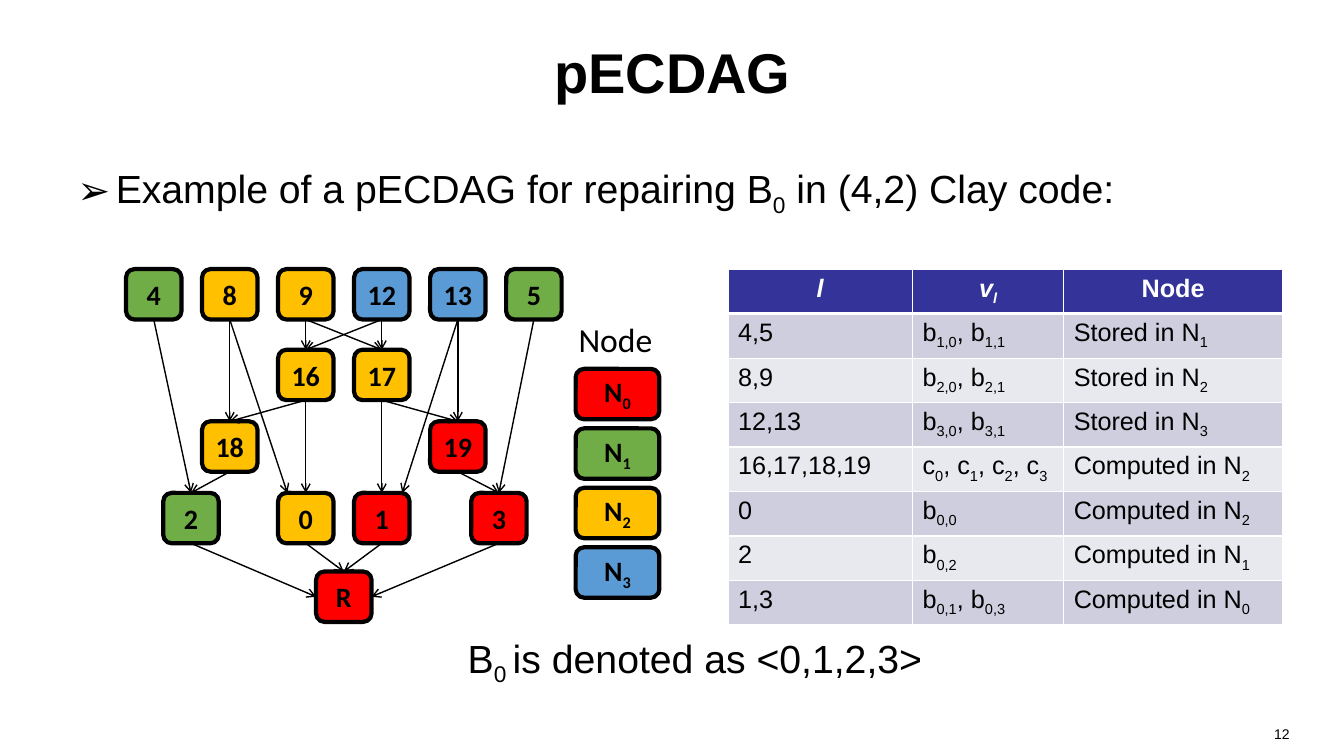
from lxml import etree
from pptx import Presentation
from pptx.dml.color import RGBColor
from pptx.enum.shapes import MSO_CONNECTOR, MSO_SHAPE
from pptx.enum.text import MSO_ANCHOR, PP_ALIGN
from pptx.oxml import parse_xml
from pptx.oxml.ns import nsdecls, qn
from pptx.util import Inches, Pt

BLACK = RGBColor(0x00, 0x00, 0x00)
WHITE = RGBColor(0xFF, 0xFF, 0xFF)
RED = RGBColor(0xFF, 0x00, 0x00)
GREEN = RGBColor(0x70, 0xAD, 0x47)
AMBER = RGBColor(0xFF, 0xC0, 0x00)
BLUE = RGBColor(0x5B, 0x9B, 0xD5)
NAVY = RGBColor(0x33, 0x33, 0x99)
BAND_DARK = RGBColor(0xCE, 0xCE, 0xDE)
BAND_LIGHT = RGBColor(0xE8, 0xE8, 0xEF)
LEFT, CENTER, RIGHT = PP_ALIGN.LEFT, PP_ALIGN.CENTER, PP_ALIGN.RIGHT


def write_text(para, markup, size, font="Arial", color=BLACK, bold=False,
               italic=False, align=LEFT):
    """Fill a paragraph; every second part between bars is a subscript."""
    para.alignment = align
    for index, part in enumerate(markup.split("|")):
        if not part:
            continue
        span = para.add_run()
        span.text = part
        span.font.size = Pt(size)
        span.font.name = font
        span.font.color.rgb = color
        span.font.bold = bold
        span.font.italic = italic
        if index % 2:
            span.font._element.set("baseline", "-25000")


def add_node(left, top, width, fill, label):
    node = page.shapes.add_shape(MSO_SHAPE.ROUNDED_RECTANGLE, Inches(left),
                                 Inches(top), Inches(width), Inches(0.5))
    node.shadow.inherit = False
    node.fill.solid()
    node.fill.fore_color.rgb = fill
    node.line.color.rgb = BLACK
    node.line.width = Pt(3)
    node.text_frame.vertical_anchor = MSO_ANCHOR.MIDDLE
    write_text(node.text_frame.paragraphs[0], label, 20, "Calibri",
               bold=True, align=CENTER)
    return node


deck = Presentation()
deck.slide_width, deck.slide_height = Inches(13.33), Inches(7.5)
page = deck.slides.add_slide(deck.slide_layouts[6])

# Texts: left, top, width, height, markup, size, font, bold, alignment
texts = [
    (0.67, 0.08, 12, 1.25, "pECDAG", 40, "Arial", True, CENTER),
    (0.67, 1.58, 12, 0.92,
     "Example of a pECDAG for repairing B|0| in (4,2) Clay code:",
     28, "Arial", False, LEFT),
    (9.78, 7.15, 3.11, 0.35, "12", 10, "Arial", False, RIGHT),
    (5.64, 3.11, 0.94, 0.5, "Node", 24, "Calibri", False, LEFT),
    (4.54, 6.24, 5.02, 0.57, "B|0 |is denoted as <0,1,2,3>",
     28, "Arial", False, LEFT),
]
boxes = []
for left, top, width, height, markup, size, font, bold, align in texts:
    box = page.shapes.add_textbox(Inches(left), Inches(top),
                                  Inches(width), Inches(height))
    box.text_frame.word_wrap = True
    write_text(box.text_frame.paragraphs[0], markup, size, font,
               bold=bold, align=align)
    boxes.append(box)
title, example = boxes[:2]
title.text_frame.vertical_anchor = MSO_ANCHOR.MIDDLE
bullet_props = example.text_frame.paragraphs[0]._p.get_or_add_pPr()
bullet_props.set("marL", str(Inches(0.38)))
bullet_props.set("indent", str(-Inches(0.38)))
etree.SubElement(bullet_props, qn("a:buFont")).set("typeface", "Arial")
etree.SubElement(bullet_props, qn("a:buChar")).set("char", "➢")

# Table of vertices
rows = [
    ("l", "v|l", "Node"),
    ("4,5", "b|1,0|, b|1,1", "Stored in N|1"),
    ("8,9", "b|2,0|, b|2,1", "Stored in N|2"),
    ("12,13", "b|3,0|, b|3,1", "Stored in N|3"),
    ("16,17,18,19", "c|0|, c|1|, c|2|, c|3", "Computed in N|2"),
    ("0", "b|0,0", "Computed in N|2"),
    ("2", "b|0,2", "Computed in N|1"),
    ("1,3", "b|0,1|, b|0,3", "Computed in N|0"),
]
table = page.shapes.add_table(len(rows), 3, Inches(7.22), Inches(2.67),
                              Inches(5.5), Inches(3.24)).table
table.horz_banding = False
for column, width in zip(table.columns, (1.83, 1.5, 2.17)):
    column.width = Inches(width)
for r, row in enumerate(rows):
    header = r == 0
    for c, markup in enumerate(row):
        cell = table.cell(r, c)
        write_text(cell.text_frame.paragraphs[0], markup, 18,
                   color=WHITE if header else BLACK, bold=header,
                   italic=header and c < 2, align=CENTER if header else LEFT)
        for side in ("lnL", "lnR", "lnT", "lnB"):
            thick = (r, side) in ((0, "lnB"), (1, "lnT"))
            cell._tc.get_or_add_tcPr().append(parse_xml(
                f'<a:{side} {nsdecls("a")} w="{Pt(3 if thick else 1)}">'
                f'<a:solidFill><a:srgbClr val="{WHITE}"/></a:solidFill>'
                f'</a:{side}>'))
        cell.fill.solid()
        cell.fill.fore_color.rgb = (
            NAVY if header else BAND_DARK if r % 2 else BAND_LIGHT)

# Graph: label, column, level, fill
levels = (2.67, 3.47, 4.18, 4.89, 5.67)
column_step = (5.02 - 1.25) / 5
vertices = [
    ("4", 0, 0, GREEN), ("8", 1, 0, AMBER), ("9", 2, 0, AMBER),
    ("12", 3, 0, BLUE), ("13", 4, 0, BLUE), ("5", 5, 0, GREEN),
    ("16", 2, 1, AMBER), ("17", 3, 1, AMBER),
    ("18", 1, 2, AMBER), ("19", 4, 2, RED),
    ("2", 0.49, 3, GREEN), ("0", 2, 3, AMBER),
    ("1", 3, 3, RED), ("3", 4.54, 3, RED), ("R", 2.5, 4, RED),
]
nodes = {label: add_node(1.25 + column * column_step, levels[level],
                         0.55, fill, label)
         for label, column, level, fill in vertices}

edges = [
    ("9", "16"), ("9", "17"), ("12", "17"), ("12", "16"),
    ("8", "18"), ("8", "0"), ("16", "18"), ("16", "0"),
    ("17", "1"), ("17", "19"), ("13", "1"), ("13", "19"),
    ("4", "2"), ("18", "2"), ("19", "3"), ("5", "3"),
    ("2", "R"), ("0", "R"), ("1", "R"), ("3", "R"),
]
off_center_ends = {("8", "0"): 2.85, ("13", "1"): 3.99}
end_sides = {("2", "R"): 1, ("3", "R"): 3}
for edge in edges:
    start, end = (nodes[label] for label in edge)
    end_x = (Inches(off_center_ends[edge]) if edge in off_center_ends
             else end.left + end.width // 2)
    arrow = page.shapes.add_connector(
        MSO_CONNECTOR.STRAIGHT, start.left + start.width // 2,
        start.top + start.height, end_x, end.top)
    arrow.begin_connect(start, 2)
    if edge not in off_center_ends:
        arrow.end_connect(end, end_sides.get(edge, 0))
    arrow.line.color.rgb = BLACK
    arrow.line.width = Pt(1)
    etree.SubElement(arrow.line._get_or_add_ln(),
                     qn("a:tailEnd")).set("type", "arrow")
    etree.SubElement(arrow._element.spPr, qn("a:effectLst"))

# Legend
for index, fill in enumerate((RED, GREEN, AMBER, BLUE)):
    add_node(5.71, 3.66 + 0.59 * index, 0.83, fill, f"N|{index}")

deck.save("out.pptx")
